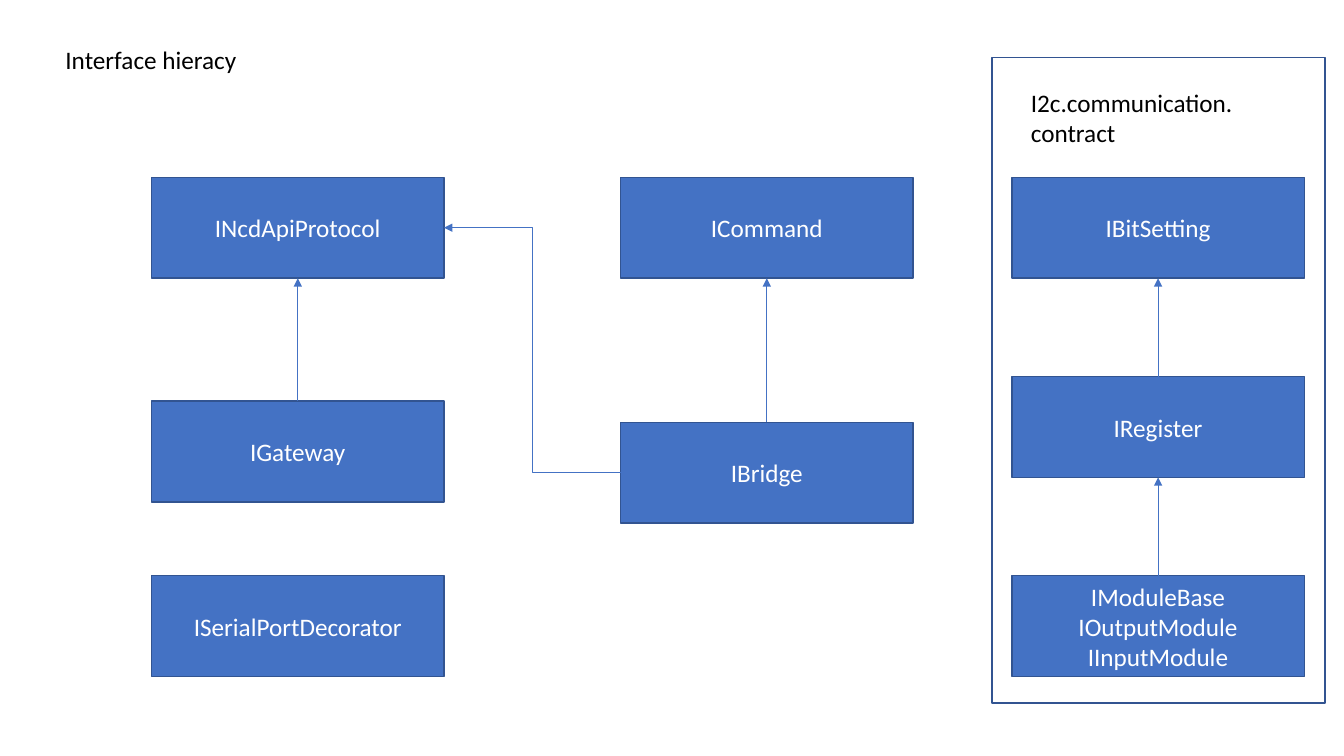
from lxml import etree
from pptx import Presentation
from pptx import util as u
from pptx.dml.color import RGBColor
from pptx.enum import shapes, text
from pptx.oxml.ns import qn

COLORS = {"fill": "4472C4", "border": "325491", "arrow": "4472C4",
          "light": "FFFFFF", "dark": "000000"}
FONT, FONT_SIZE = "Calibri", 18
BOX_WIDTH, BOX_HEIGHT = 7.37, 2.54
COLUMNS = {"protocol": 3.82, "command": 15.64, "contract": 25.5}
TOP_ROW, BOTTOM_ROW = 4.47, 14.51
MIDDLE_ROW = (TOP_ROW + BOTTOM_ROW) / 2
TOP, LEFT, BOTTOM, RIGHT = range(4)  # connection sites of a rectangle

PANEL = (25.0, 1.45, 8.39, 16.27)
# label, left, top, width, height, wraps
CAPTIONS = [
    ("Interface hieracy", 1.4, 0.99, 4.88, 1.03, False),
    ("I2c.communication. contract", 25.73, 2.08, 6.12, 1.8, True),
]
# label, column, top
INTERFACES = [
    ("INcdApiProtocol", "protocol", TOP_ROW),
    ("IGateway", "protocol", 10.11),
    ("ISerialPortDecorator", "protocol", BOTTOM_ROW),
    ("ICommand", "command", TOP_ROW),
    ("IBridge", "command", 10.64),
    ("IBitSetting", "contract", TOP_ROW),
    ("IRegister", "contract", MIDDLE_ROW),
    ("IModuleBase\nIOutputModule\nIInputModule", "contract", BOTTOM_ROW),
]
# child, site, parent, site
INHERITANCE = [
    ("IGateway", TOP, "INcdApiProtocol", BOTTOM),
    ("IBridge", TOP, "ICommand", BOTTOM),
    ("IBridge", LEFT, "INcdApiProtocol", RIGHT),
    ("IRegister", TOP, "IBitSetting", BOTTOM),
    ("IModuleBase", TOP, "IRegister", BOTTOM),
]


def color(name):
    """Return the named colour."""
    return RGBColor.from_string(COLORS[name])


def write(shape, label, font_color, alignment):
    """Put the label into the shape and format its runs."""
    shape.text_frame.text = label
    for paragraph in shape.text_frame.paragraphs:
        paragraph.alignment = alignment
        for run in paragraph.runs:
            run.font.name = FONT
            run.font.size = u.Pt(FONT_SIZE)
            run.font.color.rgb = color(font_color)


def add_rectangle(slide, left, top, width, height, fill=None):
    """Add a bordered rectangle, filled only when a colour is given."""
    shape = slide.shapes.add_shape(
        shapes.MSO_SHAPE.RECTANGLE, *map(u.Cm, (left, top, width, height)))
    shape.shadow.inherit = False
    if fill:
        shape.fill.solid()
        shape.fill.fore_color.rgb = color(fill)
    else:
        shape.fill.background()
    shape.line.color.rgb = color("border")
    shape.line.width = u.Pt(1)
    return shape


def add_interface(slide, label, column, top):
    """Add one interface box with its centred name."""
    box = add_rectangle(slide, COLUMNS[column], top, BOX_WIDTH, BOX_HEIGHT, "fill")
    box.text_frame.word_wrap = True
    box.text_frame.vertical_anchor = text.MSO_ANCHOR.MIDDLE
    write(box, label, "light", text.PP_ALIGN.CENTER)
    return box


def add_caption(slide, label, left, top, width, height, wraps):
    """Add a plain text label."""
    caption = slide.shapes.add_textbox(*map(u.Cm, (left, top, width, height)))
    caption.text_frame.word_wrap = wraps
    caption.text_frame.auto_size = text.MSO_AUTO_SIZE.SHAPE_TO_FIT_TEXT
    write(caption, label, "dark", text.PP_ALIGN.LEFT)


def add_arrow(slide, child, child_site, parent, parent_site):
    """Join a child to its parent, with the arrowhead at the parent."""
    kind = (shapes.MSO_CONNECTOR.STRAIGHT if child_site == TOP
            else shapes.MSO_CONNECTOR.ELBOW)
    arrow = slide.shapes.add_connector(kind, 0, 0, 0, 0)
    arrow.begin_connect(child, child_site)
    arrow.end_connect(parent, parent_site)
    arrow.line.color.rgb = color("arrow")
    arrow.line.width = u.Pt(0.5)
    etree.SubElement(arrow.line._get_or_add_ln(), qn("a:tailEnd"), type="triangle")
    etree.SubElement(arrow._element.spPr, qn("a:effectLst"))


presentation = Presentation()
presentation.slide_width, presentation.slide_height = u.Cm(33.87), u.Cm(19.05)
slide = presentation.slides.add_slide(presentation.slide_layouts[6])

add_rectangle(slide, *PANEL)
boxes = {label.split("\n")[0]: add_interface(slide, label, column, top)
         for label, column, top in INTERFACES}
for child, child_site, parent, parent_site in INHERITANCE:
    add_arrow(slide, boxes[child], child_site, boxes[parent], parent_site)
for caption in CAPTIONS:
    add_caption(slide, *caption)

presentation.save("out.pptx")
